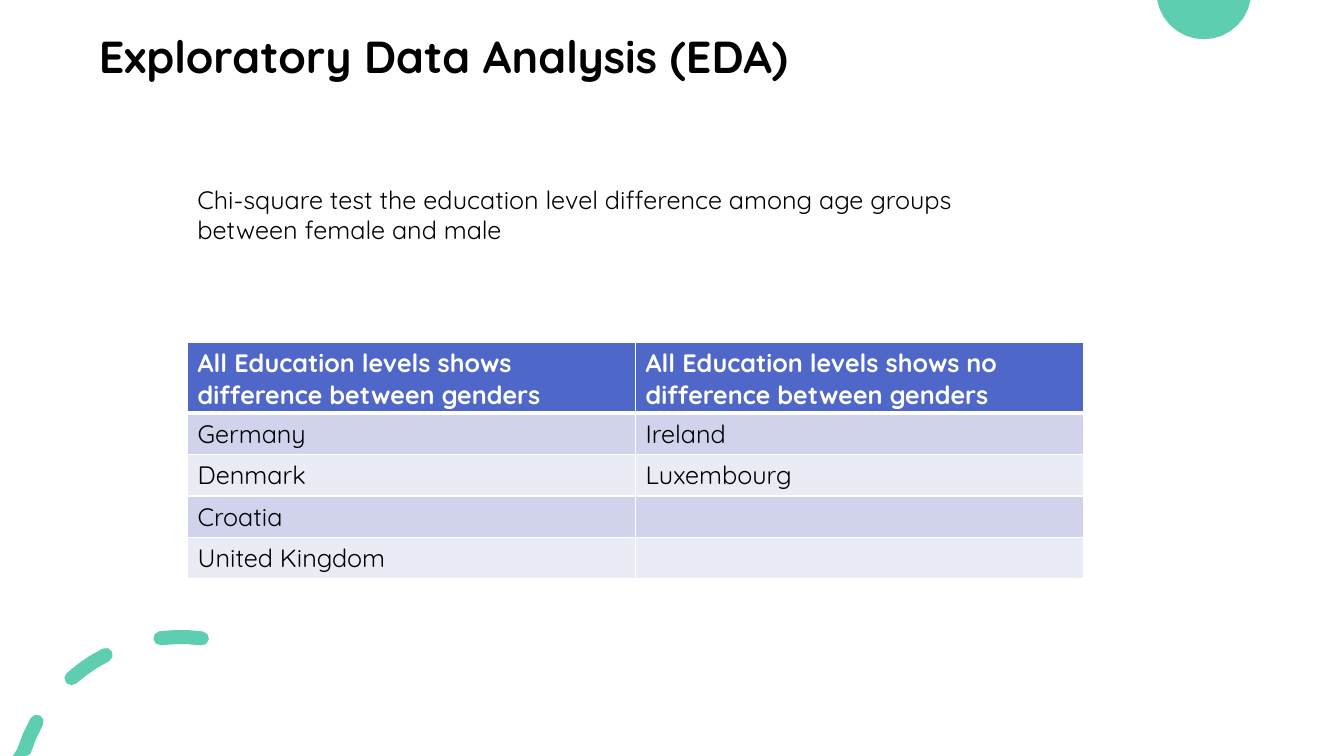
from dataclasses import dataclass
from math import cos, radians, sin

from lxml.etree import SubElement
from pptx import Presentation
from pptx.dml.color import RGBColor
from pptx.enum.text import MSO_ANCHOR, MSO_AUTO_SIZE, PP_ALIGN
from pptx.oxml.ns import qn
from pptx.util import Inches, Pt

WIDTH, HEIGHT = 13.33, 7.5


@dataclass(frozen=True)
class Theme:
    """Colours, font and type sizes of the slide."""
    font: str = "Quicksand"
    title: int = 32
    body: int = 18
    ink: str = "000000"
    paper: str = "FFFFFF"
    accent: str = "5DCEAF"
    header: str = "4E67C8"
    bands: tuple = ("D0D3EB", "E9EBF5")


THEME = Theme()
TITLE = "Exploratory Data Analysis (EDA)"
NOTE = ["Chi-square test the education level difference among age groups",
        "between female and male"]
ROWS = [
    ("All Education levels shows difference between genders",
     "All Education levels shows no difference between genders"),
    ("Germany", "Ireland"),
    ("Denmark", "Luxembourg"),
    ("Croatia", ""),
    ("United Kingdom", ""),
]


def style(p, size, color=THEME.ink, bold=False):
    """Format a whole paragraph."""
    p.font.name = THEME.font
    p.font.size = Pt(size)
    p.font.bold = bold
    p.font.color.rgb = RGBColor.from_string(color)


def arc(cx, cy, radius, start, end, steps=3):
    """Return points along a circle, kept inside the slide; angles in degrees."""
    angles = [radians(start + (end - start) * i / steps) for i in range(steps + 1)]
    return [(Inches(cx + radius * cos(a)),
             Inches(min(max(cy - radius * sin(a), 0), HEIGHT))) for a in angles]


def add_outline(s, contours):
    """Draw closed contours as one filled shape."""
    builder = s.shapes.build_freeform(*contours[0][0], scale=1.0)
    for i, points in enumerate(contours):
        if i:
            builder.move_to(*points[0])
        builder.add_line_segments(points[1:], close=True)
    sp = builder.convert_to_shape()
    sp.shadow.inherit = False
    sp.fill.solid()
    sp.fill.fore_color.rgb = RGBColor.from_string(THEME.accent)
    sp.line.fill.background()


def dash(cx, cy, radius, half, start, end):
    """Return a round-ended stroke along a circle."""
    def cap(angle, turn):
        """Return the inner points of the half circle that closes one end."""
        a = radians(angle)
        return arc(cx + radius * cos(a), cy - radius * sin(a), half,
                   turn + 45, turn + 135, 2)
    return (arc(cx, cy, radius + half, start, end) + cap(end, end)
            + arc(cx, cy, radius - half, end, start) + cap(start, start + 180))


def add_decoration(s):
    """Place the cut-off disc at the top and the dashed ring at the bottom."""
    add_outline(s, [arc(11.94, -0.08, 0.47, 190, 350, 14)])
    spans = [(151, 168), (117, 131.5), (82.5, 97)]
    add_outline(s, [dash(1.79, 7.95, 1.63, 0.07, *span) for span in spans])


def add_title(s, x, y, w, h):
    """Place the slide title in its box."""
    sp = s.shapes.title
    sp.left, sp.top, sp.width, sp.height = map(Inches, (x, y, w, h))
    tf = sp.text_frame
    tf.text = TITLE
    tf.vertical_anchor = MSO_ANCHOR.TOP
    tf.auto_size = MSO_AUTO_SIZE.SHAPE_TO_FIT_TEXT
    p = tf.paragraphs[0]
    p.alignment = PP_ALIGN.LEFT
    style(p, THEME.title, bold=True)


def add_note(s, x, y, w, h):
    """Place the description of the test."""
    tf = s.shapes.add_textbox(*map(Inches, (x, y, w, h))).text_frame
    tf.word_wrap = False
    tf.auto_size = MSO_AUTO_SIZE.SHAPE_TO_FIT_TEXT
    tf.text = "\n".join(NOTE)
    for p in tf.paragraphs:
        style(p, THEME.body)


def add_borders(cell, bottom):
    """Draw white cell borders, with the bottom one in its own width."""
    tcPr = cell._tc.get_or_add_tcPr()
    for side, width in zip("LRTB", (1, 1, 1, bottom)):
        ln = SubElement(tcPr, qn(f"a:ln{side}"), w=str(Pt(width)))
        fill = SubElement(ln, qn("a:solidFill"))
        SubElement(fill, qn("a:srgbClr"), val=THEME.paper)


def add_countries(s, x, y, w, h, row=0.41):
    """Place the table of countries; the header grows to fill the frame."""
    frame = s.shapes.add_table(len(ROWS), len(ROWS[0]), *map(Inches, (x, y, w, h)))
    table = frame.table
    for i, values in enumerate(ROWS):
        head = i == 0
        table.rows[i].height = Inches(row)
        fill = THEME.header if head else THEME.bands[(i - 1) % 2]
        for j, value in enumerate(values):
            cell = table.cell(i, j)
            cell.text = value
            add_borders(cell, 3 if head else 1)
            cell.fill.solid()
            cell.fill.fore_color.rgb = RGBColor.from_string(fill)
            style(cell.text_frame.paragraphs[0], THEME.body,
                  THEME.paper if head else THEME.ink, head)
    frame.height = Inches(h)


def main():
    """Build and save the slide."""
    prs = Presentation()
    prs.slide_width, prs.slide_height = Inches(WIDTH), Inches(HEIGHT)
    s = prs.slides.add_slide(prs.slide_layouts[5])
    s.background.fill.solid()
    s.background.fill.fore_color.rgb = RGBColor.from_string(THEME.paper)
    left = 1.86
    add_decoration(s)
    add_title(s, 0.88, 0.23, 7.76, 0.64)
    add_countries(s, left, 3.4, WIDTH * 2 / 3, 2.32)
    add_note(s, left, 1.78, 8.37, 1.01)
    prs.save("out.pptx")


if __name__ == "__main__":
    main()
